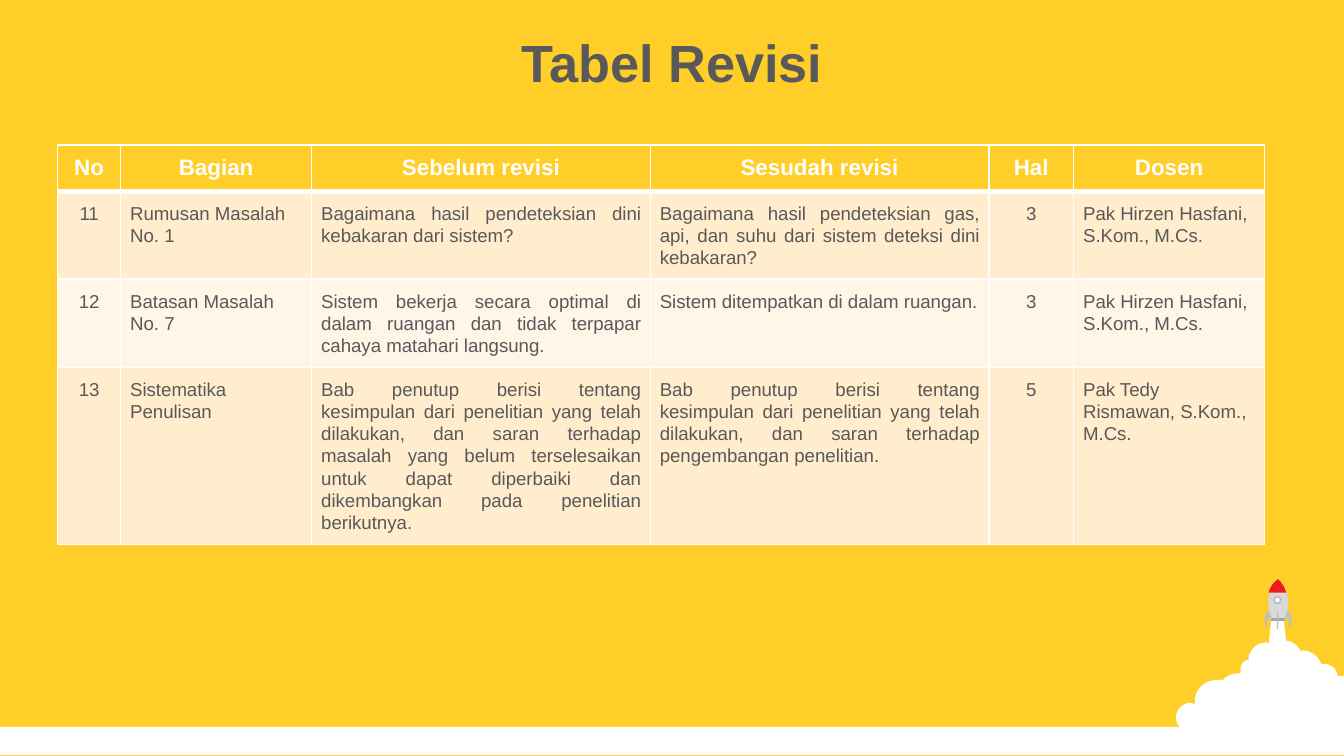
"""Build the revision table slide with a rocket launch in the corner."""
from lxml import etree
from pptx import Presentation
from pptx.dml.color import RGBColor
from pptx.enum.shapes import MSO_SHAPE
from pptx.enum.text import MSO_ANCHOR, PP_ALIGN
from pptx.oxml.ns import qn
from pptx.util import Cm, Pt

CENTER, LEFT, JUSTIFY = PP_ALIGN.CENTER, PP_ALIGN.LEFT, PP_ALIGN.JUSTIFY
MIDDLE = MSO_ANCHOR.MIDDLE
RECTANGLE, OVAL = MSO_SHAPE.RECTANGLE, MSO_SHAPE.OVAL

COLORS = {
    "yellow": "FFCE29", "white": "FFFFFF", "text": "595959",
    "band": "FFEDCD", "pale": "FFF6E8", "hull": "D9D9D9",
    "nozzle": "A6A6A6", "nose": "ED1C24", "fin": "BFBFBF",
}
TITLE = "Tabel Revisi"
HEADER = ["No", "Bagian", "Sebelum revisi", "Sesudah revisi", "Hal", "Dosen"]
REVISIONS = [
    ["11", "Rumusan Masalah No. 1",
     "Bagaimana hasil pendeteksian dini\vkebakaran dari sistem?",
     "Bagaimana hasil pendeteksian gas,\vapi, dan suhu dari sistem deteksi dini kebakaran?",
     "3", "Pak Hirzen Hasfani, S.Kom., M.Cs."],
    ["12", "Batasan Masalah No. 7",
     "Sistem bekerja secara optimal di\vdalam ruangan dan tidak terpapar\vcahaya matahari langsung.",
     "Sistem ditempatkan di dalam ruangan.",
     "3", "Pak Hirzen Hasfani, S.Kom., M.Cs."],
    ["13", "Sistematika\vPenulisan",
     "Bab penutup berisi tentang\vkesimpulan dari penelitian yang telah dilakukan, "
     "dan saran terhadap\vmasalah yang belum terselesaikan\vuntuk dapat diperbaiki "
     "dan dikembangkan pada penelitian berikutnya.",
     "Bab penutup berisi tentang\vkesimpulan dari penelitian yang telah dilakukan, "
     "dan saran terhadap\vpengembangan penelitian.",
     "5", "Pak Tedy Rismawan, S.Kom., M.Cs."],
]
COLUMN_WIDTHS = [1.19, 3.61, 6.4, 6.4, 1.6, 3.61]
ROW_HEIGHTS = [0.86, 1.66, 1.66, 3.35]
ALIGNMENTS = [CENTER, LEFT, JUSTIFY, JUSTIFY, CENTER, LEFT]

# Outlines on a grid of 1/100 inch: pairs are corners, sextets are curves.
UNIT = Cm(2.54) / 100
AXIS = 951
CLOUD = [
    (946, 459), (955, 459), (957, 477), (959, 477),
    (962, 478, 965, 480, 967, 483), (968, 485), (969, 484),
    (975, 484, 981, 488, 983, 494), (984, 494),
    (990, 494, 994, 497, 995, 502), (995, 503), (1000, 503),
    (1000, 561), (893, 561), (893, 543), (892, 544),
    (891, 545, 889, 545, 886, 545), (880, 545, 875, 540, 875, 534),
    (875, 528, 880, 523, 886, 523), (889, 524), (889, 522),
    (889, 513, 896, 506, 906, 506), (910, 506), (911, 505),
    (914, 502, 918, 501, 923, 501), (923, 498),
    (923, 495, 925, 492, 928, 491), (929, 491), (929, 489),
    (930, 483, 936, 478, 942, 478), (944, 479),
]
HULL = [(946, 462), (944, 453, 940, 440, 951, 431),
        (962, 441, 958, 454, 956, 462)]
NOZZLE = [(946, 460), (956, 460), (956, 462), (946, 462)]
NOSE = [(951, 431), (954, 434, 956, 437, 957, 441), (944, 441),
        (945, 437, 947, 434, 951, 431)]
LEFT_FIN = [(944, 454), (946, 459), (942, 461, 943, 466, 942, 468),
            (941, 465, 940, 457, 944, 454)]
RIGHT_FIN = [tuple(2 * AXIS - value if index % 2 == 0 else value
                   for index, value in enumerate(step)) for step in LEFT_FIN]
OUTLINES_BELOW = [(CLOUD, "white"), (HULL, "hull"), (NOZZLE, "nozzle"), (NOSE, "nose")]
OUTLINES_ABOVE = [(LEFT_FIN, "fin"), (RIGHT_FIN, "fin")]


def rgb(name):
    return RGBColor.from_string(COLORS[name])


def paint(shape, fill, line=None):
    shape.shadow.inherit = False
    shape.fill.solid()
    shape.fill.fore_color.rgb = rgb(fill)
    if line:
        shape.line.color.rgb = rgb(line)
        shape.line.width = Pt(1)
    else:
        shape.line.fill.background()


def flatten(outline, steps=8):
    points = []
    for step in outline:
        if len(step) == 2:
            points.append(step)
            continue
        corners = [points[-1], step[:2], step[2:4], step[4:]]
        for count in range(1, steps + 1):
            t = count / steps
            weights = [(1 - t) ** 3, 3 * t * (1 - t) ** 2, 3 * t * t * (1 - t), t ** 3]
            points.append(tuple(sum(w * c[axis] for w, c in zip(weights, corners))
                                for axis in (0, 1)))
    return [(round(x * UNIT), round(y * UNIT)) for x, y in points]


def draw_outlines(shapes, outlines):
    for outline, fill in outlines:
        start, *rest = flatten(outline)
        builder = shapes.build_freeform(*start)
        builder.add_line_segments(rest, close=True)
        paint(builder.convert_to_shape(), fill)


def add_preset(shapes, kind, place, fill, line=None):
    shape = shapes.add_shape(kind, *(round(value * UNIT) for value in place))
    paint(shape, fill, line)


def style_text(frame, alignment, font, spacing):
    for para in frame.paragraphs:
        para.alignment = alignment
        for name, value in spacing.items():
            setattr(para, name, value)
        for span in para.runs:
            span.font.color.rgb = rgb(font["color"])
            for name in ("name", "size", "bold"):
                setattr(span.font, name, font[name])


def set_borders(cell, widths):
    properties = cell._tc.get_or_add_tcPr()
    for index, (side, width) in enumerate(widths.items()):
        line = etree.Element(qn("a:ln" + side), w=str(Pt(width)))
        fill = etree.SubElement(line, qn("a:solidFill"))
        etree.SubElement(fill, qn("a:srgbClr"), val=COLORS["white"])
        properties.insert(index, line)


TITLE_FONT = {"name": "Arial", "size": Pt(28), "bold": True, "color": "text"}
HEADER_FONT = {"name": "Arial", "size": Pt(12), "bold": True, "color": "white"}
BODY_FONT = {"name": "Arial", "size": Pt(10), "bold": False, "color": "text"}
BODY_SPACING = {"line_spacing": 1.07, "space_after": Pt(8)}

deck = Presentation()
deck.slide_width, deck.slide_height = Cm(25.4), Cm(14.29)
page = deck.slides.add_slide(deck.slide_layouts[5])
page.background.fill.solid()
page.background.fill.fore_color.rgb = rgb("yellow")

add_preset(page.shapes, RECTANGLE, (0, 541, 1000, 21), "white")
launch = page.shapes.add_group_shape().shapes
draw_outlines(launch, OUTLINES_BELOW)
add_preset(launch, OVAL, (948, 444, 5, 5), "white", "fin")
add_preset(launch, RECTANGLE, (950, 455, 1, 13), "fin")
draw_outlines(launch, OUTLINES_ABOVE)

title = page.shapes.title
title_place = {"left": Cm(0), "top": Cm(0.36), "width": Cm(25.4), "height": Cm(1.6)}
for name, value in title_place.items():
    setattr(title, name, value)
title.text_frame.text = TITLE
title.text_frame.vertical_anchor = MIDDLE
style_text(title.text_frame, CENTER, TITLE_FONT, {})

rows = [HEADER] + REVISIONS
table = page.shapes.add_table(len(rows), len(HEADER), Cm(1.09), Cm(2.74),
                              Cm(sum(COLUMN_WIDTHS)), Cm(sum(ROW_HEIGHTS))).table
for column, width in zip(table.columns, COLUMN_WIDTHS):
    column.width = Cm(width)
for row_index, (texts, height) in enumerate(zip(rows, ROW_HEIGHTS)):
    table.rows[row_index].height = Cm(height)
    is_header = row_index == 0
    fill = "yellow" if is_header else ("pale", "band")[row_index % 2]
    side_margin = Cm(0.25 if is_header else 0.18)
    borders = {"L": 1, "R": 1, "T": 3 if row_index == 1 else 1, "B": 3 if is_header else 1}
    for column_index, text in enumerate(texts):
        cell = table.cell(row_index, column_index)
        cell.text_frame.text = text
        cell.margin_left = cell.margin_right = side_margin
        cell.margin_top = cell.margin_bottom = Cm(0.2)
        cell.fill.solid()
        cell.fill.fore_color.rgb = rgb(fill)
        set_borders(cell, borders)
        if is_header:
            style_text(cell.text_frame, CENTER, HEADER_FONT, {})
        else:
            style_text(cell.text_frame, ALIGNMENTS[column_index], BODY_FONT, BODY_SPACING)

deck.save("out.pptx")
